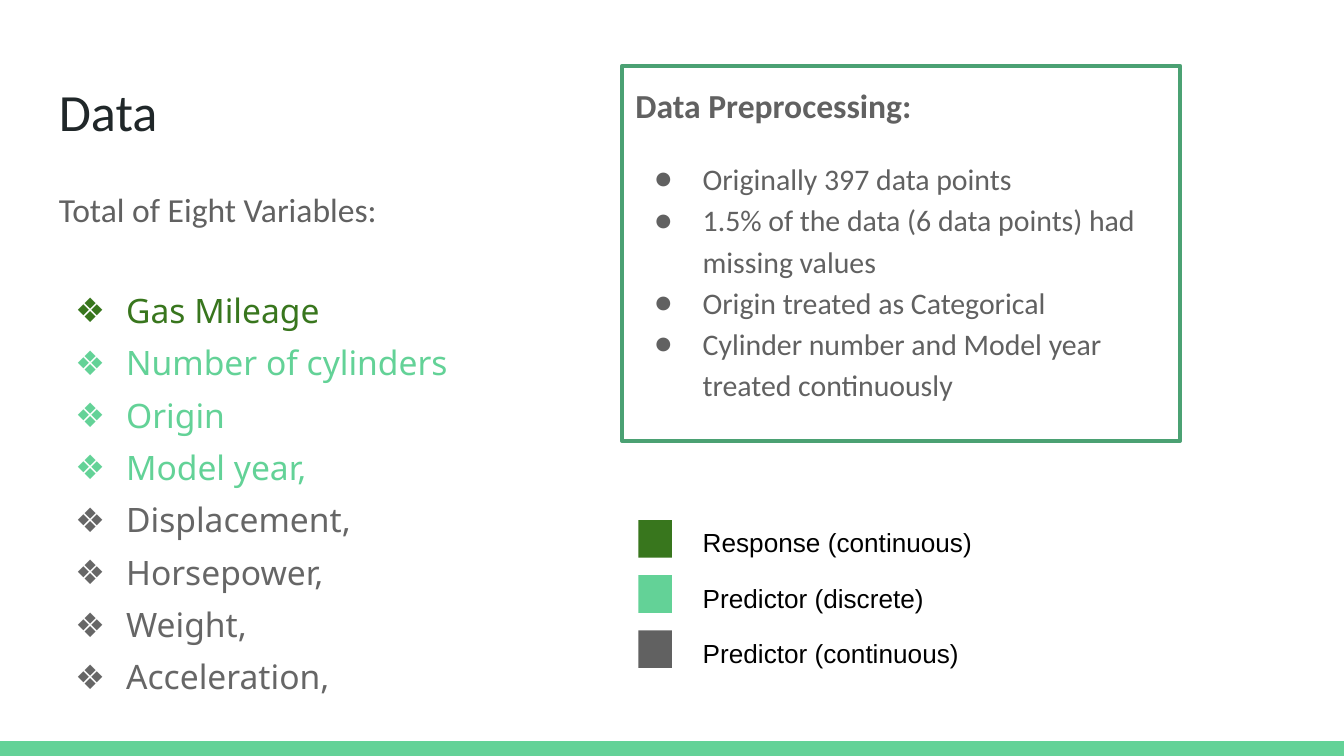
from lxml.etree import SubElement
from pptx import Presentation
from pptx.dml.color import RGBColor
from pptx.enum.shapes import MSO_SHAPE
from pptx.enum.text import MSO_ANCHOR, PP_ALIGN
from pptx.oxml.ns import qn
from pptx.util import Inches, Pt

WIDTH = 10
HEIGHT = WIDTH * 9 / 16
MARGIN, TOP = 0.34, 0.49
DARK_GREEN, LIGHT_GREEN, GRAY = "38761D", "63D297", "616161"
VARIABLE_GRAY, BORDER_GREEN, TITLE_COLOR = "666666", "4BA173", "202729"

VARIABLES = [
    ("Gas Mileage", DARK_GREEN),
    ("Number of cylinders", LIGHT_GREEN),
    ("Origin", LIGHT_GREEN),
    ("Model year,", LIGHT_GREEN),
    ("Displacement,", VARIABLE_GRAY),
    ("Horsepower,", VARIABLE_GRAY),
    ("Weight,", VARIABLE_GRAY),
    ("Acceleration,", VARIABLE_GRAY),
]
PREPROCESSING = [
    "Originally 397 data points",
    "1.5% of the data (6 data points) had missing values",
    "Origin treated as Categorical",
    "Cylinder number and Model year treated continuously",
]
LEGEND = [
    ("Response (continuous)", DARK_GREEN),
    ("Predictor (discrete)", LIGHT_GREEN),
    ("Predictor (continuous)", GRAY),
]
LEGEND_TOP, LEGEND_PITCH = 3.87, 0.41


def rgb(color):
    return RGBColor.from_string(color)


def add_rectangle(slide, left, top, width, height, fill=None, line=None):
    shape = slide.shapes.add_shape(
        MSO_SHAPE.RECTANGLE, Inches(left), Inches(top), Inches(width), Inches(height))
    shape.shadow.inherit = False
    if fill:
        shape.fill.solid()
        shape.fill.fore_color.rgb = rgb(fill)
    else:
        shape.fill.background()
    if line:
        shape.line.color.rgb = rgb(line)
        shape.line.width = Pt(2.25)
    else:
        shape.line.fill.background()
    return shape


def add_text_box(slide, left, top, width, height):
    box = slide.shapes.add_textbox(
        Inches(left), Inches(top), Inches(width), Inches(height))
    return prepare_frame(box)


def prepare_frame(shape):
    """Give the shape's text even insets, wrapping and a top anchor."""
    frame = shape.text_frame
    frame.word_wrap = True
    frame.vertical_anchor = MSO_ANCHOR.TOP
    frame.margin_left = frame.margin_right = Inches(0.1)
    frame.margin_top = frame.margin_bottom = Inches(0.1)
    return frame


def write(paragraph, text, size, color, font="Calibri", bold=False,
          spacing=1.0, before=0, after=0, align=PP_ALIGN.LEFT):
    paragraph.alignment = align
    paragraph.line_spacing = spacing
    paragraph.space_before = Pt(before)
    paragraph.space_after = Pt(after)
    run = paragraph.add_run()
    run.text = text
    run.font.size = Pt(size)
    run.font.name = font
    run.font.bold = bold
    run.font.color.rgb = rgb(color)


def add_bullet(paragraph, character, color, hanging, font="Calibri"):
    properties = paragraph._p.get_or_add_pPr()
    properties.set("marL", str(Inches(0.5)))
    properties.set("indent", str(-Inches(hanging)))
    bullet_color = SubElement(properties, qn("a:buClr"))
    SubElement(bullet_color, qn("a:srgbClr"), val=color)
    SubElement(properties, qn("a:buFont"), typeface=font)
    SubElement(properties, qn("a:buChar"), char=character)


def add_variables(slide):
    frame = add_text_box(slide, MARGIN, 1.26, 4.29, 3.74)
    write(frame.paragraphs[0], "Total of Eight Variables:", 18, GRAY,
          spacing=1.15, after=16)
    for index, (name, color) in enumerate(VARIABLES):
        paragraph = frame.add_paragraph()
        add_bullet(paragraph, "❖", color, 0.38, font="Noto Sans")
        write(paragraph, name, 18, color, font="Noto Sans", spacing=1.3,
              before=0 if index else 10, align=PP_ALIGN.JUSTIFY)


def add_preprocessing(slide):
    frame = prepare_frame(
        add_rectangle(slide, 4.63, TOP, 4.15, 2.79, line=BORDER_GREEN))
    write(frame.paragraphs[0], "Data Preprocessing:", 18, GRAY, bold=True,
          spacing=1.15, after=16)
    for step in PREPROCESSING:
        paragraph = frame.add_paragraph()
        add_bullet(paragraph, "●", GRAY, 0.36)
        write(paragraph, step, 16, GRAY, spacing=1.15,
              after=16 if step == PREPROCESSING[-1] else 0)


def add_legend(slide):
    for row, (label, color) in enumerate(LEGEND):
        top = LEGEND_TOP + row * LEGEND_PITCH
        add_rectangle(slide, 4.75, top, 0.25, 0.28, fill=color)
        frame = add_text_box(slide, 5.13, top - 0.05, 2.49, 0.38)
        write(frame.paragraphs[0], label, 14, "000000", font="Arial")


def main():
    presentation = Presentation()
    presentation.slide_width = Inches(WIDTH)
    presentation.slide_height = Inches(HEIGHT)
    slide = presentation.slides.add_slide(presentation.slide_layouts[6])
    add_rectangle(slide, 0, HEIGHT - 0.11, WIDTH, 0.11, fill=LIGHT_GREEN)
    title = add_text_box(slide, MARGIN, TOP, WIDTH - 2 * MARGIN, 0.63)
    write(title.paragraphs[0], "Data", 28, TITLE_COLOR)
    add_variables(slide)
    add_preprocessing(slide)
    add_legend(slide)
    presentation.save("out.pptx")


if __name__ == "__main__":
    main()
